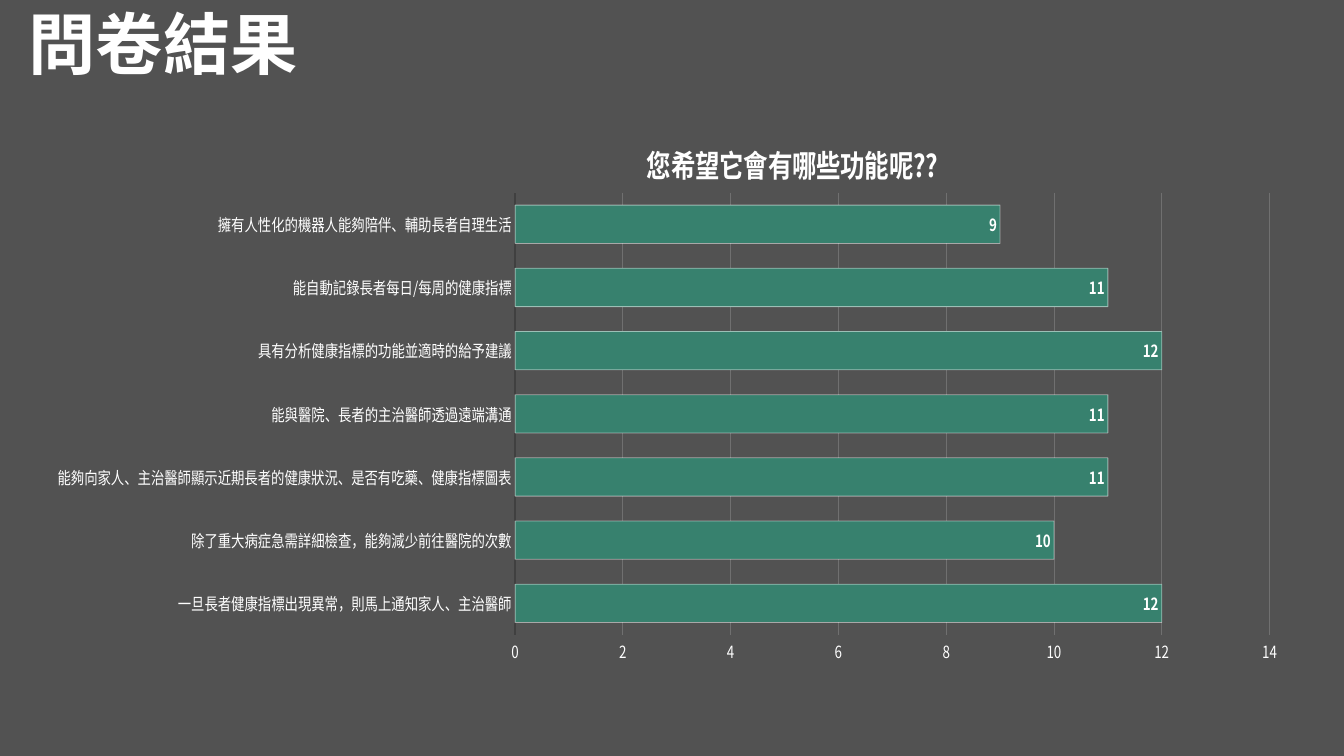
"""Build the survey results slide with its bar chart of wanted functions."""
from lxml.etree import SubElement
from pptx import Presentation
from pptx.chart.data import CategoryChartData
from pptx.dml.color import RGBColor
from pptx.enum.chart import XL_CHART_TYPE as ChartType
from pptx.enum.chart import XL_LABEL_POSITION as LabelPosition
from pptx.enum.chart import XL_TICK_MARK as TickMark
from pptx.enum.text import MSO_AUTO_SIZE as AutoSize
from pptx.enum.text import PP_ALIGN as Align
from pptx.oxml import parse_xml
from pptx.oxml.ns import nsdecls, qn
from pptx.util import Cm, Pt

FONT = "Noto Sans CJK SC"
COLORS = {
    "background": "525252",
    "text": "FFFFFF",
    "bar": "37816E",
    "axis": "404040",
    "grid": "707070",
}
ANSWERS = [
    ("一旦長者健康指標出現異常，則馬上通知家人、主治醫師", 12),
    ("除了重大病症急需詳細檢查，能夠減少前往醫院的次數", 10),
    ("能夠向家人、主治醫師顯示近期長者的健康狀況、是否有吃藥、健康指標圖表", 11),
    ("能與醫院、長者的主治醫師透過遠端溝通", 11),
    ("具有分析健康指標的功能並適時的給予建議", 12),
    ("能自動記錄長者每日/每周的健康指標", 11),
    ("擁有人性化的機器人能夠陪伴、輔助長者自理生活", 9),
]


def color(name):
    return RGBColor.from_string(COLORS[name])


def style_font(font, size, bold=False):
    font.name = FONT
    font.size = Pt(size)
    font.bold = bold
    font.color.rgb = color("text")


def style_line(line, name, width):
    line.color.rgb = color(name)
    line.width = Pt(width)


def add_east_asian_font(element):
    for latin in list(element.iter(qn("a:latin"))):
        latin.addnext(parse_xml(f'<a:ea {nsdecls("a")} typeface="{FONT}"/>'))


def set_layout(element, index, **settings):
    for layout in element.findall(qn("c:layout")):
        element.remove(layout)
    layout = parse_xml(f'<c:layout {nsdecls("c")}><c:manualLayout/></c:layout>')
    for tag, value in settings.items():
        SubElement(layout[0], qn(f"c:{tag}"), val=str(value))
    element.insert(index, layout)


def add_heading(slide, text):
    box = slide.shapes.add_textbox(Cm(0), Cm(-0.06), Cm(8.22), Cm(2.31))
    frame = box.text_frame
    frame.word_wrap = True
    frame.auto_size = AutoSize.SHAPE_TO_FIT_TEXT
    paragraph = frame.paragraphs[0]
    paragraph.alignment = Align.CENTER
    run = paragraph.add_run()
    run.text = text
    style_font(run.font, 48, bold=True)
    add_east_asian_font(box.element)


def style_axis(axis):
    axis.major_tick_mark = axis.minor_tick_mark = TickMark.NONE
    style_font(axis.tick_labels.font, 12)


def style_axes(chart):
    categories, values = chart.category_axis, chart.value_axis
    style_axis(categories)
    style_line(categories.format.line, "axis", 1.5)
    style_axis(values)
    values.minimum_scale, values.maximum_scale, values.major_unit = 0, 14, 2
    values.format.line.fill.background()
    style_line(values.major_gridlines.format.line, "grid", 0.75)


def style_bars(plot):
    plot.gap_width = 65
    plot.vary_by_categories = False
    series = plot.series[0]
    series.format.fill.solid()
    series.format.fill.fore_color.rgb = color("bar")
    style_line(series.format.line, "text", 0.75)
    outline_color = series._element.find(f'{qn("c:spPr")}/{qn("a:ln")}//{qn("a:srgbClr")}')
    SubElement(outline_color, qn("a:alpha"), val="50000")
    labels = series.data_labels
    labels.show_value = True
    labels.position = LabelPosition.INSIDE_END
    style_font(labels.font, 12, bold=True)


def add_title(chart, text):
    chart.has_title = True
    title = chart.chart_title
    run = title.text_frame.paragraphs[0].add_run()
    run.text = text
    style_font(run.font, 22, bold=True)
    set_layout(title._element, 1, xMode="edge", yMode="edge", x=0.34, y=0.02)


def add_bar_chart(slide, title, answers):
    data = CategoryChartData()
    data.categories = [answer for answer, count in answers]
    data.add_series("Series 1", [count for answer, count in answers])
    frame = slide.shapes.add_chart(
        ChartType.BAR_CLUSTERED, Cm(1.45), Cm(3.05), Cm(31.04), Cm(15.06), data
    )
    chart = frame.chart
    chart.has_legend = False
    style_font(chart.font, 10)
    add_title(chart, title)
    style_axes(chart)
    style_bars(chart.plots[0])
    set_layout(
        chart._chartSpace.find(f'.//{qn("c:plotArea")}'), 0,
        layoutTarget="inner", xMode="edge", yMode="edge",
        x=0.21, y=0.12, w=0.77, h=0.74,
    )
    add_east_asian_font(chart._chartSpace)


def main():
    presentation = Presentation()
    presentation.slide_width, presentation.slide_height = Cm(33.87), Cm(19.05)
    slide = presentation.slides.add_slide(presentation.slide_layouts[6])
    slide.background.fill.solid()
    slide.background.fill.fore_color.rgb = color("background")
    add_heading(slide, "問卷結果")
    add_bar_chart(slide, "您希望它會有哪些功能呢??", ANSWERS)
    presentation.save("out.pptx")


if __name__ == "__main__":
    main()
